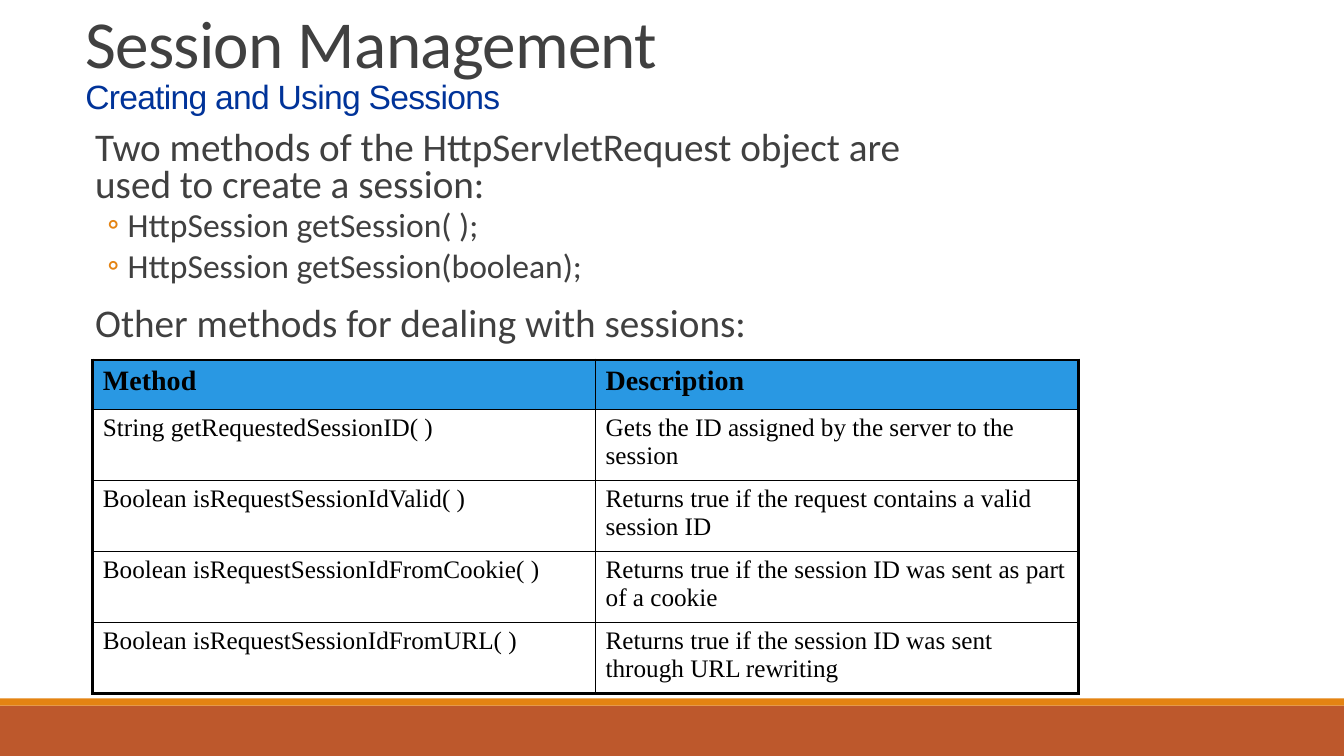
from lxml.etree import SubElement
from pptx import Presentation
from pptx.dml.color import RGBColor
from pptx.enum.shapes import MSO_SHAPE
from pptx.enum.text import MSO_ANCHOR
from pptx.oxml.ns import qn
from pptx.util import Cm, Pt

INK, ORANGE, RUST, NAVY = "404040", "E48312", "BD582C", "003399"
BLACK, HEADER_BLUE = "000000", "2998E3"

OUTLINE = [
    (0, "Two methods of the HttpServletRequest object are used to create a session:"),
    (1, "HttpSession getSession( );"),
    (1, "HttpSession getSession(boolean);"),
    (0, "Other methods for dealing with sessions:"),
]
METHODS = [
    ("Method", "Description"),
    ("String getRequestedSessionID( )",
     "Gets the ID assigned by the server to the session"),
    ("Boolean isRequestSessionIdValid( )",
     "Returns true if the request contains a valid session ID"),
    ("Boolean isRequestSessionIdFromCookie( )",
     "Returns true if the session ID was sent as part of a cookie"),
    ("Boolean isRequestSessionIdFromURL( )",
     "Returns true if the session ID was sent through URL rewriting"),
]


def color(value):
    """Turn a hex string into a colour."""
    return RGBColor.from_string(value)


def set_font(font, name, size, ink, bold=False):
    """Set the face, size, colour and weight of a font."""
    font.name, font.size, font.bold = name, Pt(size), bold
    font.color.rgb = color(ink)


def add_band(slide, top, height, fill):
    """Draw a full-width footer band."""
    band = slide.shapes.add_shape(MSO_SHAPE.RECTANGLE, 0, Cm(top), Cm(33.87), Cm(height))
    band.shadow.inherit = False
    band.fill.solid()
    band.fill.fore_color.rgb = color(fill)
    band.line.fill.background()


def add_frame(slide, top, width, height):
    """Add a wrapping text box at the left margin and return its frame."""
    frame = slide.shapes.add_textbox(Cm(1.9), Cm(top), Cm(width), Cm(height)).text_frame
    frame.word_wrap = True
    frame.vertical_anchor = MSO_ANCHOR.TOP
    return frame


def add_heading(slide):
    """Write the title with its subtitle on a second line."""
    heading = add_frame(slide, 0.22, 21.6, 3.18).paragraphs[0]
    heading.line_spacing = 0.85
    title = heading.add_run()
    title.text = "Session Management"
    set_font(title.font, "Calibri", 48, INK)
    heading.add_line_break()
    subtitle = heading.add_run()
    subtitle.text = "Creating and Using Sessions"
    set_font(subtitle.font, "Arial", 24, NAVY)
    for run in (title, subtitle):
        run.font._element.set("spc", "-50")


def set_indent(paragraph, left, hanging=0, bullet=None):
    """Indent a paragraph and give it an optional hanging bullet."""
    properties = paragraph._p.get_or_add_pPr()
    properties.set("marL", str(Cm(left)))
    properties.set("indent", str(-Cm(hanging)))
    if bullet:
        tint = SubElement(properties, qn("a:buClr"))
        SubElement(tint, qn("a:srgbClr"), val=ORANGE)
        SubElement(properties, qn("a:buFont"), typeface="Calibri")
        SubElement(properties, qn("a:buChar"), char=bullet)


def add_outline(slide):
    """Write the statements and their bulleted methods."""
    frame = add_frame(slide, 3.18, 22.86, 6.15)
    for index, (level, text) in enumerate(OUTLINE):
        item = frame.add_paragraph() if index else frame.paragraphs[0]
        item.text = text
        item.level = level
        item.line_spacing = 0.8
        item.space_before, item.space_after = (Pt(2), Pt(4)) if level else (Pt(12), Pt(2))
        if level:
            set_indent(item, 1.07, 0.51, "◦")
        else:
            set_indent(item, 0.25)
        set_font(item.font, "Calibri", 24 if level else 28, INK)


def set_borders(cell, outer_sides):
    """Rule a cell, with heavier lines on the table's outer sides."""
    properties = cell._tc.get_or_add_tcPr()
    for side in "LRTB":
        width = Pt(2.25 if side in outer_sides else 1)
        line = SubElement(properties, qn(f"a:ln{side}"), w=str(width))
        fill = SubElement(line, qn("a:solidFill"))
        SubElement(fill, qn("a:srgbClr"), val=BLACK)


def add_methods_table(slide):
    """Add the table of session methods."""
    widths, heights = (12.67, 12.17), (1.24,) + (1.79,) * 4
    table = slide.shapes.add_table(len(heights), len(widths), Cm(2.34), Cm(9.07),
                                   Cm(sum(widths)), Cm(sum(heights))).table
    for column, width in zip(table.columns, widths):
        column.width = Cm(width)
    for index, (height, texts) in enumerate(zip(heights, METHODS)):
        table.rows[index].height = Cm(height)
        is_header = index == 0
        edge = "T" if is_header else "B" if index == len(heights) - 1 else ""
        for cell, text, side in zip(table.rows[index].cells, texts, "LR"):
            cell.text = text
            set_font(cell.text_frame.paragraphs[0].font, "Times New Roman",
                     20 if is_header else 18, BLACK, is_header)
            set_borders(cell, side + edge)
            if is_header:
                cell.fill.solid()
                cell.fill.fore_color.rgb = color(HEADER_BLUE)
            else:
                cell.fill.background()


def main():
    """Build and save the slide."""
    deck = Presentation()
    deck.slide_width, deck.slide_height = Cm(33.87), Cm(19.05)
    slide = deck.slides.add_slide(deck.slide_layouts[6])
    add_band(slide, 17.78, 1.27, RUST)
    add_band(slide, 17.6, 0.18, ORANGE)
    add_heading(slide)
    add_outline(slide)
    add_methods_table(slide)
    deck.save("out.pptx")


if __name__ == "__main__":
    main()
